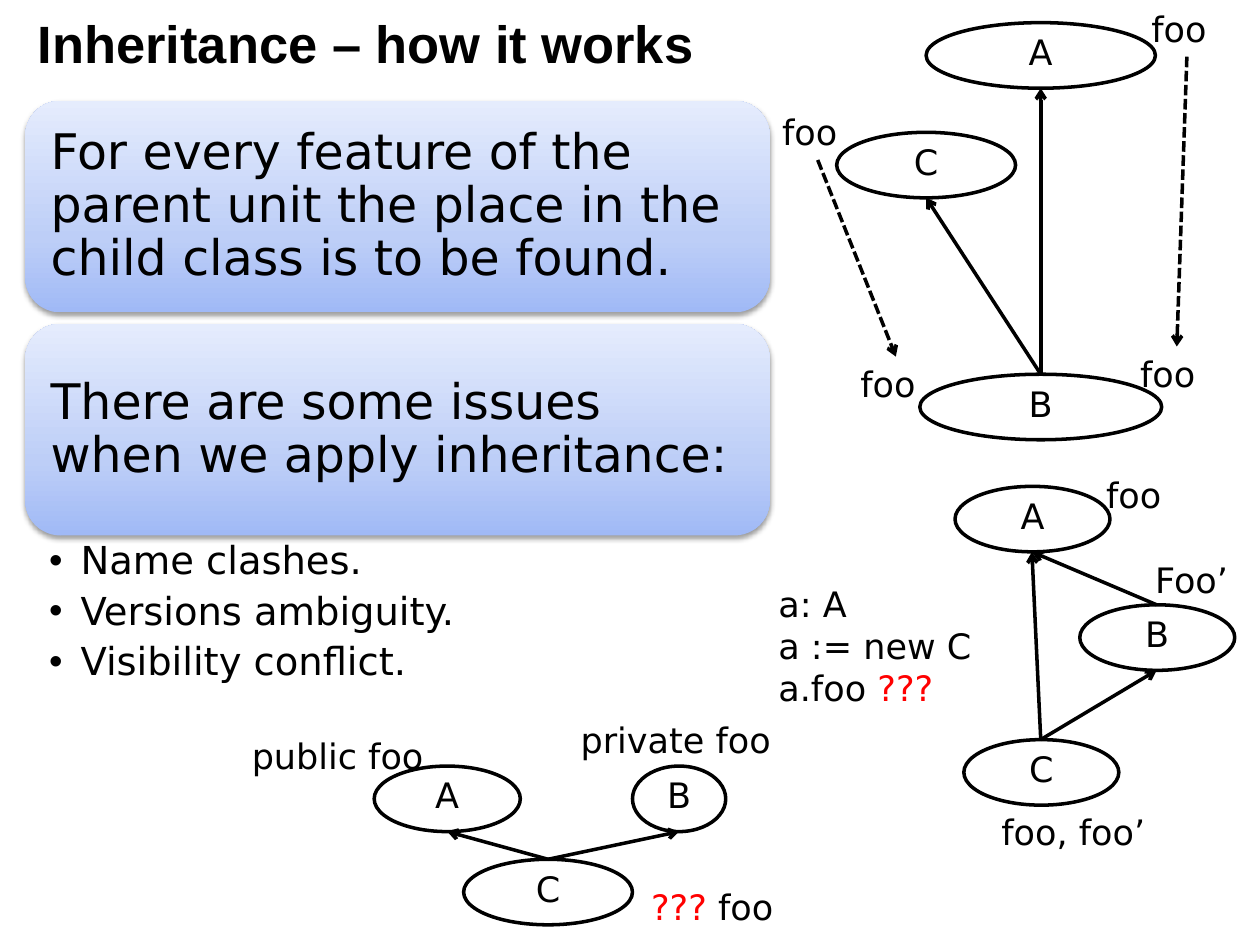
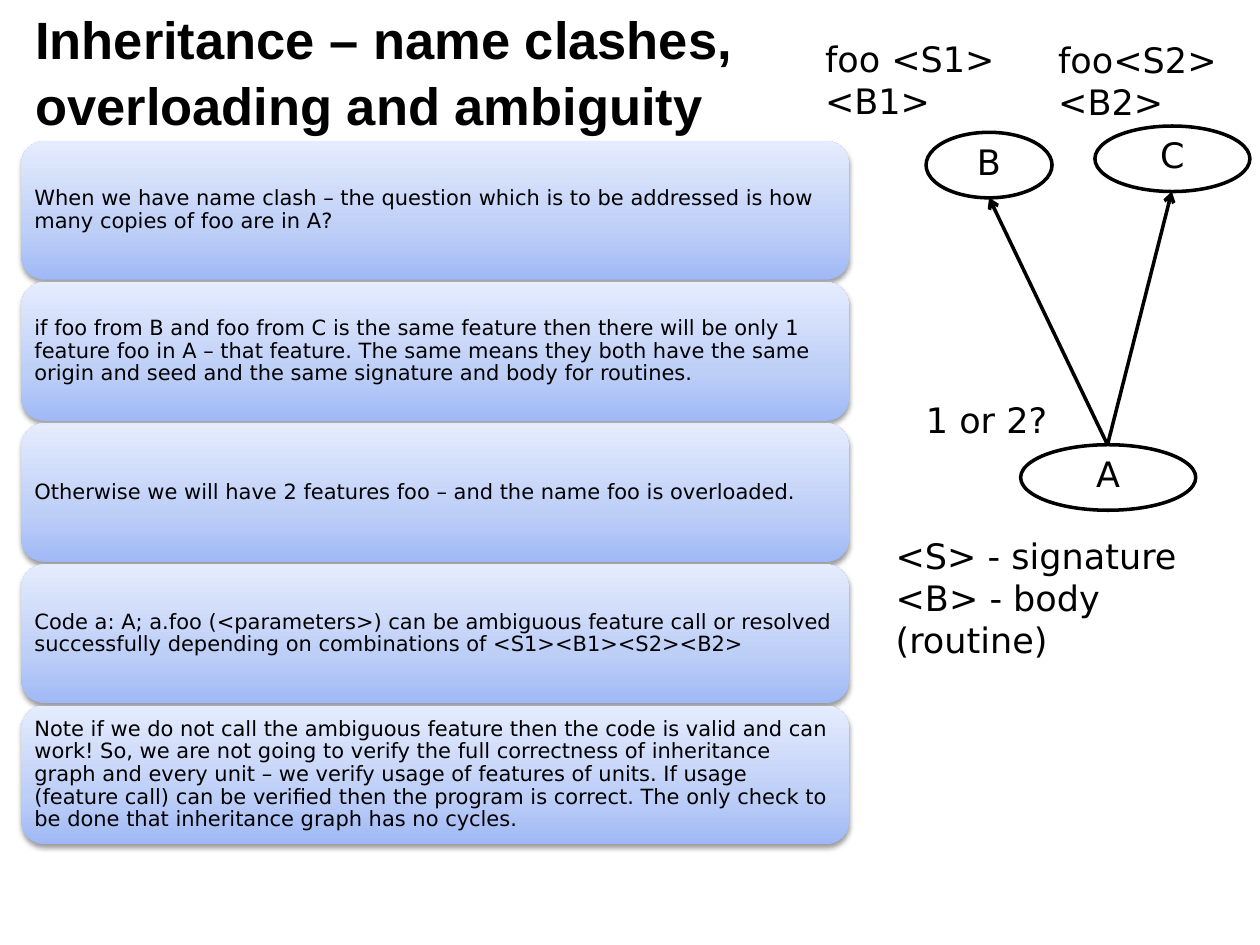
import dataclasses

import lxml.etree
import pptx
import pptx.dml.color
import pptx.enum.dml
import pptx.enum.shapes
import pptx.enum.text
import pptx.oxml.ns
import pptx.util

PX = 9144  # EMU in one px, at 100 px to the inch
TITLE_ONLY = 5
ELLIPSE_HEIGHT = 52
QUESTION = "???"

MSO_SHAPE = pptx.enum.shapes.MSO_SHAPE
PP_ALIGN = pptx.enum.text.PP_ALIGN
ANCHOR = pptx.enum.text.MSO_ANCHOR
Pt = pptx.util.Pt


@dataclasses.dataclass(frozen=True)
class Theme:
    title_font: str = "Arial"
    body_font: str = "DejaVu Sans"
    text: str = "000000"
    alert: str = "FF0000"
    card_stops: tuple = ((0, "A0B9F6"), (35, "BDCEF7"), (100, "E5ECFD"))
    title_size: int = 30
    card_size: int = 28
    bullet_size: int = 22
    label_size: int = 20
    note_size: int = 12
    line_width: int = 2


def rgb(color):
    return pptx.dml.color.RGBColor.from_string(color)


def emu(*lengths):
    return [length * PX for length in lengths]


def add_element(parent, tag, **attributes):
    element = lxml.etree.SubElement(parent, pptx.oxml.ns.qn(tag))
    for name, value in attributes.items():
        element.set(name, str(value))
    return element


class SlideBuilder:
    def __init__(self, deck, theme):
        self.deck = deck
        self.theme = theme
        self.slide = None

    def start_slide(self, title, *bounds):
        self.slide = self.deck.slides.add_slide(self.deck.slide_layouts[TITLE_ONLY])
        holder = self.slide.shapes.title
        holder.left, holder.top, holder.width, holder.height = emu(*bounds)
        frame = holder.text_frame
        frame.text = title
        frame.word_wrap = True
        frame.auto_size = pptx.enum.text.MSO_AUTO_SIZE.NONE
        frame.vertical_anchor = ANCHOR.TOP
        para = frame.paragraphs[0]
        para.alignment = PP_ALIGN.LEFT
        para.line_spacing = 1.05
        self.style(para, self.theme.title_size, self.theme.title_font)
        para.font.bold = True

    def style(self, para, size, font=None):
        para.font.name = font or self.theme.body_font
        para.font.size = Pt(size)
        para.font.color.rgb = rgb(self.theme.text)

    def fill_text(self, frame, lines, size, spacing=1.0, align=PP_ALIGN.LEFT, bullets=False):
        """Fill the frame, one paragraph a line, with each ??? in the alert colour."""
        frame.word_wrap = True
        for index, line in enumerate(lines):
            para = frame.add_paragraph() if index else frame.paragraphs[0]
            para.alignment = align
            para.line_spacing = spacing
            if bullets:
                self.add_bullet(para)
            self.style(para, size)
            before, question, after = line.partition(QUESTION)
            for part in filter(None, (before, question, after)):
                span = para.add_run()
                span.text = part
                if part == QUESTION:
                    span.font.color.rgb = rgb(self.theme.alert)

    def add_bullet(self, para):
        para.space_after = Pt(5)
        properties = para._p.get_or_add_pPr()
        properties.set("marL", str(25 * PX))
        properties.set("indent", str(-25 * PX))
        add_element(properties, "a:buFont", typeface="Arial")
        add_element(properties, "a:buChar", char="•")

    def label(self, left, top, width, *lines):
        height = 11 + 33 * len(lines)
        box = self.slide.shapes.add_textbox(*emu(left, top, width, height))
        self.fill_text(box.text_frame, lines, self.theme.label_size)

    def bullet_list(self, left, top, width, height, lines):
        box = self.slide.shapes.add_textbox(*emu(left, top, width, height))
        frame = box.text_frame
        frame.margin_left, frame.margin_right = emu(19, 22)
        frame.margin_top = frame.margin_bottom = 4 * PX
        self.fill_text(frame, lines, self.theme.bullet_size, 0.9, bullets=True)

    def card_stack(self, left, top, width, height, gap, inset, size, texts):
        for index, text in enumerate(texts):
            card_top = top + index * (height + gap)
            card = self.slide.shapes.add_shape(
                MSO_SHAPE.ROUNDED_RECTANGLE, *emu(left, card_top, width, height))
            self.paint_card(card)
            frame = card.text_frame
            frame.margin_left = frame.margin_right = inset * PX
            frame.margin_top = frame.margin_bottom = inset * PX
            frame.vertical_anchor = ANCHOR.MIDDLE
            self.fill_text(frame, [text], size, 0.9)

    def paint_card(self, card):
        """Give the card its three-stop gradient and soft shadow below."""
        card.line.fill.background()
        card.shadow.inherit = False
        card.fill.gradient()
        properties = card._element.spPr
        gradient = properties.find(pptx.oxml.ns.qn("a:gradFill"))
        for child in list(gradient):
            gradient.remove(child)
        stops = add_element(gradient, "a:gsLst")
        for position, color in self.theme.card_stops:
            stop = add_element(stops, "a:gs", pos=position * 1000)
            add_element(stop, "a:srgbClr", val=color)
        add_element(gradient, "a:lin", ang=270 * 60000, scaled=0)
        effects = properties.find(pptx.oxml.ns.qn("a:effectLst"))
        shadow = add_element(effects, "a:outerShdw", blurRad=Pt(3.1), dist=Pt(1.6),
                             dir=90 * 60000, rotWithShape=0)
        color = add_element(shadow, "a:srgbClr", val=self.theme.text)
        add_element(color, "a:alpha", val=38000)

    def unit(self, name, left, top, width):
        """Draw a class as an ellipse and return its top and bottom middle points."""
        ellipse = self.slide.shapes.add_shape(
            MSO_SHAPE.OVAL, *emu(left, top, width, ELLIPSE_HEIGHT))
        ellipse.shadow.inherit = False
        ellipse.fill.background()
        self.draw_line(ellipse.line)
        ellipse.text_frame.vertical_anchor = ANCHOR.MIDDLE
        self.fill_text(ellipse.text_frame, [name], self.theme.label_size, 0.8, PP_ALIGN.CENTER)
        middle = left + width // 2
        return (middle, top), (middle, top + ELLIPSE_HEIGHT)

    def draw_line(self, line):
        line.color.rgb = rgb(self.theme.text)
        line.width = Pt(self.theme.line_width)

    def arrow(self, start, end, dashed=False):
        connector = self.slide.shapes.add_connector(
            pptx.enum.shapes.MSO_CONNECTOR.STRAIGHT, *emu(*start, *end))
        self.draw_line(connector.line)
        if dashed:
            connector.line.dash_style = pptx.enum.dml.MSO_LINE.SQUARE_DOT
        add_element(connector.line._get_or_add_ln(), "a:tailEnd", type="arrow")
        add_element(connector._element.spPr, "a:effectLst")

    def inherit(self, child, *parents):
        for parent in parents:
            self.arrow(child[0], parent[1])


def build_how_it_works(builder):
    builder.start_slide("Inheritance – how it works", 20, 1, 900, 61)
    builder.card_stack(20, 80, 591, 168, 9, 12, builder.theme.card_size, [
        "For every feature of the parent unit the place in the child class is to be found.",
        "There are some issues when we apply inheritance:",
    ])
    builder.bullet_list(20, 426, 591, 124, [
        "Name clashes.", "Versions ambiguity.", "Visibility conflict."])

    # Name clash
    unit_a = builder.unit("A", 735, 18, 182)
    unit_b = builder.unit("B", 730, 297, 192)
    unit_c = builder.unit("C", 664, 105, 142)
    builder.inherit(unit_b, unit_a, unit_c)
    for left, top in ((904, 1), (895, 275), (611, 83), (673, 283)):
        builder.label(left, top, 77, "foo")
    builder.arrow((942, 45), (934, 275), dashed=True)
    builder.arrow((649, 127), (711, 283), dashed=True)

    # Versions ambiguity
    unit_a = builder.unit("A", 758, 386, 123)
    unit_c = builder.unit("C", 765, 587, 123)
    unit_b = builder.unit("B", 857, 480, 123)
    builder.inherit(unit_c, unit_a, unit_b)
    builder.inherit(unit_b, unit_a)
    builder.label(868, 371, 77, "foo")
    builder.label(907, 438, 96, "Foo’")
    builder.label(785, 638, 160, "foo, foo’")
    builder.label(608, 457, 184, "a: A", "a := new C", "a.foo ???")

    # Visibility conflict
    unit_a = builder.unit("A", 297, 608, 116)
    unit_b = builder.unit("B", 502, 608, 74)
    unit_c = builder.unit("C", 368, 682, 134)
    builder.inherit(unit_c, unit_a, unit_b)
    builder.label(190, 578, 160, "public foo")
    builder.label(451, 565, 183, "private foo")
    builder.label(507, 698, 160, "??? foo")


def build_name_clashes(builder):
    builder.start_slide("Inheritance – name clashes,\voverloading and ambiguity",
                        18, -2, 595, 99)
    unit_b = builder.unit("B", 735, 105, 100)
    unit_c = builder.unit("C", 869, 100, 123)
    unit_a = builder.unit("A", 810, 353, 139)
    builder.inherit(unit_a, unit_b, unit_c)
    builder.label(645, 25, 160, "foo <S1>", "<B1>")
    builder.label(830, 26, 161, "foo<S2>", "<B2>")
    builder.label(725, 311, 120, "1 or 2?")
    builder.label(701, 419, 288, "<S> - signature", "<B> - body (routine)")
    builder.card_stack(17, 112, 657, 110, 2, 5, builder.theme.note_size, [
        "When we have name clash – the question which is to be addressed is how many "
        "copies of foo are in A?",
        "if foo from B and foo from C is the same feature then there will be only 1 "
        "feature foo in A – that feature. The same means they both have the same origin "
        "and seed and the same signature and body for routines.",
        "Otherwise we will have 2 features foo – and the name foo is overloaded.",
        "Code a: A; a.foo (<parameters>) can be ambiguous feature call or resolved "
        "successfully depending on combinations of <S1><B1><S2><B2>",
        "Note if we do not call the ambiguous feature then the code is valid and can "
        "work! So, we are not going to verify the full correctness of inheritance graph "
        "and every unit – we verify usage of features of units. If usage (feature call) "
        "can be verified then the program is correct. The only check to be done that "
        "inheritance graph has no cycles.",
    ])


def main():
    deck = pptx.Presentation()
    deck.slide_width, deck.slide_height = emu(1000, 750)
    builder = SlideBuilder(deck, Theme())
    build_how_it_works(builder)
    build_name_clashes(builder)
    deck.save("out.pptx")


if __name__ == "__main__":
    main()
